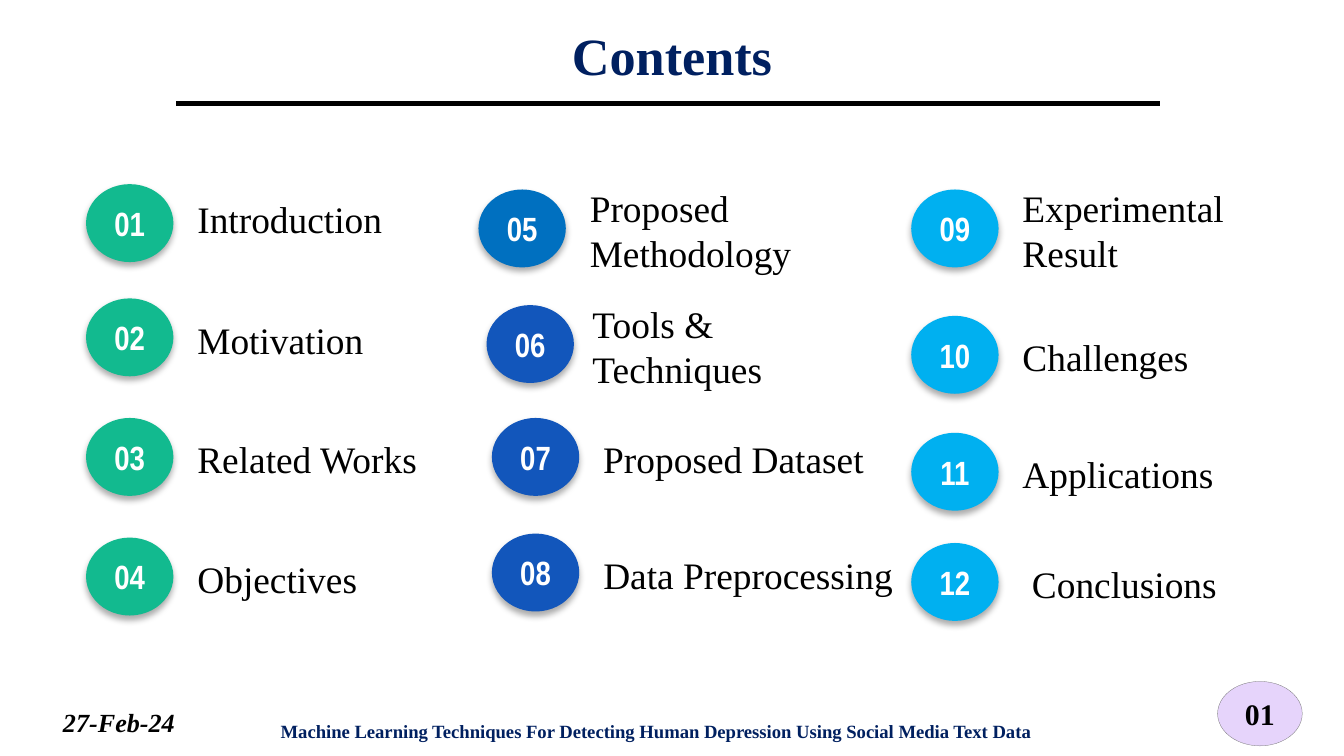
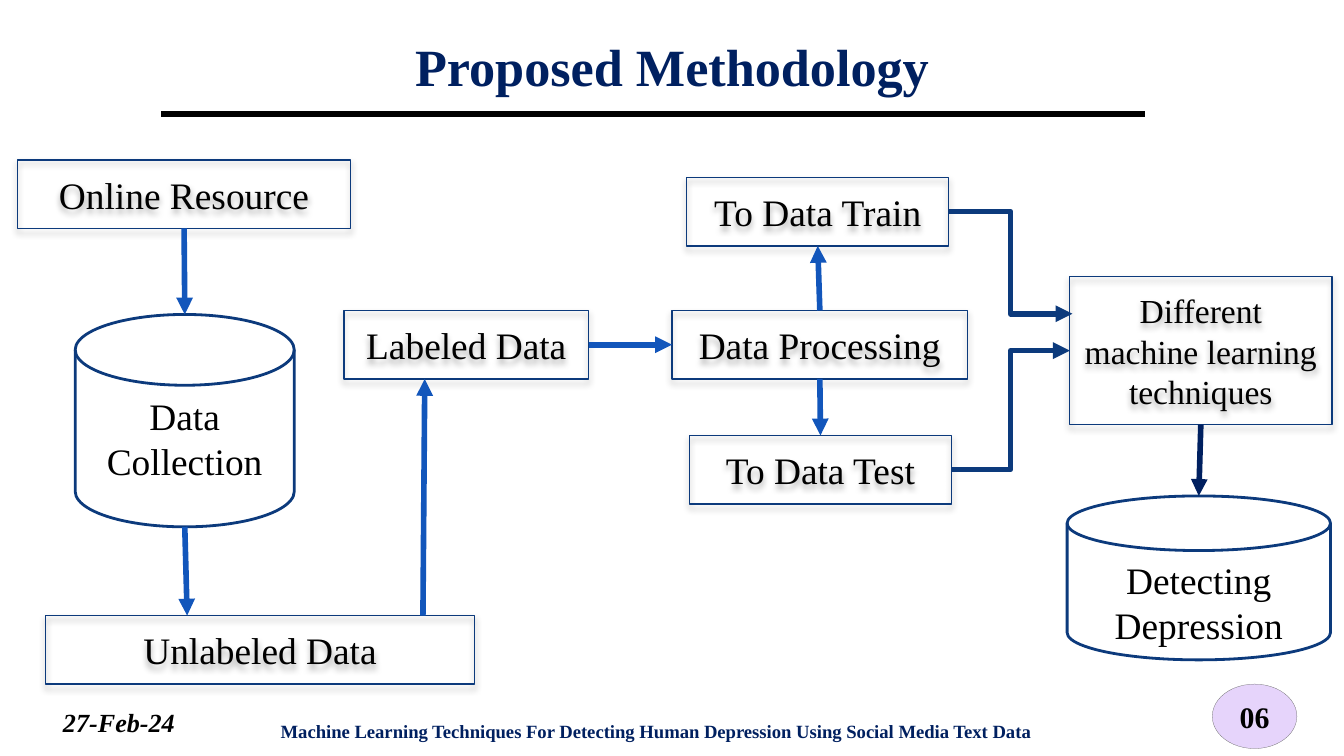
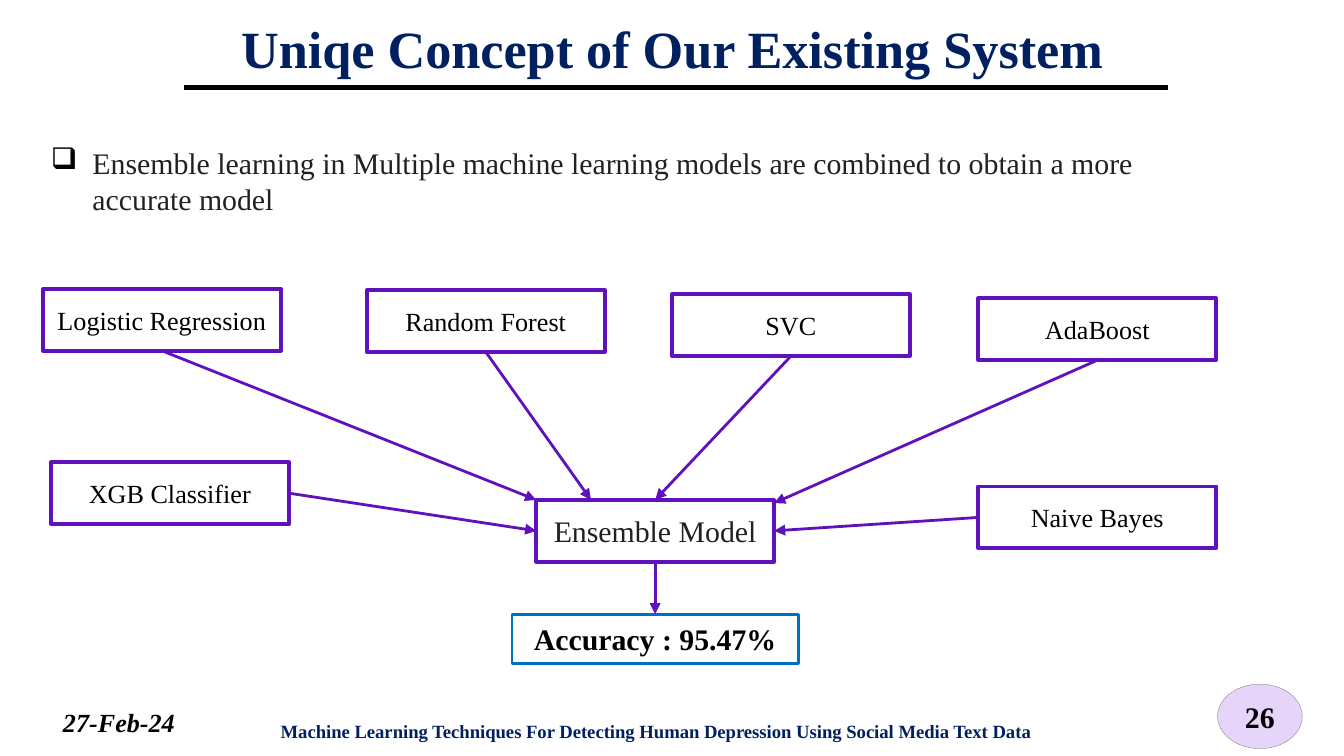
from dataclasses import dataclass

from lxml.etree import SubElement
from pptx import Presentation
from pptx.dml.color import RGBColor
from pptx.enum.shapes import MSO_CONNECTOR, MSO_SHAPE
from pptx.enum.text import MSO_ANCHOR, MSO_AUTO_SIZE, PP_ALIGN
from pptx.oxml.ns import qn
from pptx.util import Inches, Pt


@dataclass(frozen=True)
class Theme:
    """Colours, fonts and type sizes shared by the slides."""

    serif: str = "Times New Roman"
    narrow: str = "Arial Narrow"
    navy: str = "002060"
    black: str = "000000"
    white: str = "FFFFFF"
    ink: str = "202124"
    green: str = "12BA8F"
    sky: str = "00B0F0"
    azure: str = "0070C0"
    blue: str = "1256BB"
    outline: str = "0C3A7C"
    purple: str = "5F12BB"
    lilac: str = "E6D4FB"
    grey: str = "6C6C6C"
    title_size: int = 28
    topic_size: int = 20
    number_size: int = 18
    body_size: int = 16
    model_size: int = 14
    footer_size: int = 10


THEME = Theme()


@dataclass(frozen=True)
class Box:
    """A region in inches."""

    left: float
    top: float
    width: float
    height: float

    def inside(self, left, top, width, height):
        """Return a box placed relative to this one."""
        return Box(self.left + left, self.top + top, width, height)

    def lengths(self):
        """Return left, top, width and height as lengths."""
        return [Inches(v) for v in (self.left, self.top, self.width, self.height)]


@dataclass(frozen=True)
class Topic:
    """One numbered entry of the contents."""

    title: str
    left: float
    top: float
    colour: str
    gap: float = 0.73
    rise: float = 0.03
    width: float = 2.17


TOPICS = [
    Topic("Introduction", 0, 0, THEME.green, rise=0.08),
    Topic("Motivation", 0, 0.85, THEME.green),
    Topic("Related Works", 0, 1.74, THEME.green),
    Topic("Objectives", 0, 2.63, THEME.green),
    Topic("Proposed Methodology", 2.92, 0.04, THEME.azure),
    Topic("Tools & Techniques", 2.98, 0.9, THEME.blue, gap=0.69, width=2.42),
    Topic("Proposed Dataset", 3.02, 1.74, THEME.blue),
    Topic("Data Preprocessing", 3.02, 2.6, THEME.blue, width=2.42),
    Topic("Experimental Result", 6.14, 0.04, THEME.sky),
    Topic("Challenges", 6.14, 0.98, THEME.sky),
    Topic("Applications", 6.14, 1.85, THEME.sky),
    Topic("Conclusions", 6.14, 2.67, THEME.sky, gap=0.8),
]


def apply(target, values):
    """Set each named attribute on the target."""
    for name, value in values.items():
        setattr(target, name, value)


def write(frame, text, size, colour=THEME.black, align=PP_ALIGN.CENTER,
          inset=None, font=None, frame_format=None):
    """Fill a text frame, one paragraph per line of text."""
    settings = {"word_wrap": True, "vertical_anchor": MSO_ANCHOR.MIDDLE}
    if inset is not None:
        sides = ("left", "top", "right", "bottom")
        settings |= {f"margin_{side}": Inches(inset) for side in sides}
    apply(frame, settings | (frame_format or {}))
    frame.text = text
    for paragraph in frame.paragraphs:
        paragraph.alignment = align
        for run in paragraph.runs:
            apply(run.font, {"name": THEME.serif, "size": Pt(size)} | (font or {}))
            run.font.color.rgb = RGBColor.from_string(colour)


def add_shadow(shape):
    """Give a shape a soft shadow falling straight down."""
    effects = shape._element.spPr.find(qn("a:effectLst"))
    shadow = SubElement(effects, qn("a:outerShdw"), blurRad=str(Pt(3.5)),
                        dist=str(Pt(2.2)), dir="5400000", rotWithShape="0")
    colour = SubElement(shadow, qn("a:srgbClr"), val=THEME.black)
    SubElement(colour, qn("a:alpha"), val="32000")


def add_figure(shapes, kind, box, fill=None, line=None, weight=1.0, shadow=False):
    """Add a preset shape with the given fill, outline and shadow."""
    figure = shapes.add_shape(kind, *box.lengths())
    figure.shadow.inherit = False
    if shadow:
        add_shadow(figure)
    for paint, colour in ((figure.fill, fill), (figure.line.fill, line)):
        if colour:
            paint.solid()
            paint.fore_color.rgb = RGBColor.from_string(colour)
        else:
            paint.background()
    if line:
        figure.line.width = Pt(weight)
    return figure


def add_caption(shapes, box, text, size, **style):
    """Add left-aligned text in a box of its own."""
    caption = shapes.add_textbox(*box.lengths())
    write(caption.text_frame, text, size, align=PP_ALIGN.LEFT, **style)
    return caption


def add_line(slide, start, end, colour, weight, kind=MSO_CONNECTOR.STRAIGHT, arrow=True):
    """Join two points, with an arrowhead at the end if asked."""
    line = slide.shapes.add_connector(kind, *start, *end)
    line.line.color.rgb = RGBColor.from_string(colour)
    line.line.width = Pt(weight)
    if arrow:
        SubElement(line.line._get_or_add_ln(), qn("a:tailEnd"), type="triangle")
    SubElement(line._element.spPr, qn("a:effectLst"))


def anchor(shape, across, down):
    """Return the point at the given fractions of a shape's size."""
    return (shape.left + int(shape.width * across),
            shape.top + int(shape.height * down))


def add_heading(slide, title, box, rule_start):
    """Place the title and the rule below it."""
    heading = slide.shapes.title
    apply(heading, dict(zip(("left", "top", "width", "height"), box.lengths())))
    write(heading.text_frame, title, THEME.title_size, THEME.navy, inset=0.1,
          font={"bold": True}, frame_format={"auto_size": MSO_AUTO_SIZE.NONE})
    left, top = rule_start
    add_line(slide, (Inches(left), Inches(top)), (Inches(left + 7.32), Inches(top)),
             THEME.black, 3, arrow=False)


def add_footer(slide, box, number, badge_at):
    """Place the date, the running title and the page badge."""
    fit = {"auto_size": MSO_AUTO_SIZE.SHAPE_TO_FIT_TEXT, "vertical_anchor": MSO_ANCHOR.TOP}
    add_caption(slide.shapes, box.inside(0, 0.14, 1.28, 0.34), "27-Feb-24", THEME.model_size,
                font={"bold": True, "italic": True}, frame_format=fit)
    add_caption(slide.shapes, box.inside(1.62, 0.24, 6.69, 0.27),
                "Machine Learning Techniques For Detecting Human Depression "
                "Using Social Media Text Data",
                THEME.footer_size, colour=THEME.navy, font={"bold": True}, frame_format=fit)
    badge = add_figure(slide.shapes, MSO_SHAPE.OVAL, box.inside(*badge_at, 0.63, 0.48),
                       THEME.lilac, THEME.grey, 0.15)
    write(badge.text_frame, number, THEME.body_size, font={"bold": True})


def add_topic(slide, box, number, topic):
    """Place a numbered disc with its topic beside it."""
    entry = slide.shapes.add_group_shape().shapes
    disc = add_figure(entry, MSO_SHAPE.OVAL, box.inside(topic.left, topic.top, 0.65, 0.58),
                      topic.colour, shadow=True)
    write(disc.text_frame, f"{number:02}", THEME.number_size, THEME.white, inset=0.1,
          font={"name": THEME.narrow, "bold": True})
    label = box.inside(topic.left + topic.gap, topic.top - topic.rise, topic.width, 0.67)
    add_caption(entry, label, topic.title, THEME.topic_size, inset=0.1)


def build_contents(slide, box):
    """Lay out the numbered topics."""
    for number, topic in enumerate(TOPICS, 1):
        add_topic(slide, box, number, topic)


def build_methodology(slide, box):
    """Draw the flow from online resource to detection."""

    def step(text, *place, size=THEME.topic_size):
        """Add one rectangular step."""
        shape = add_figure(slide.shapes, MSO_SHAPE.RECTANGLE, box.inside(*place),
                           line=THEME.outline, weight=0.75, shadow=True)
        write(shape.text_frame, text, size)
        return shape

    def store(text, *place, **frame_format):
        """Add one cylinder."""
        shape = add_figure(slide.shapes, MSO_SHAPE.FLOWCHART_MAGNETIC_DISK,
                           box.inside(*place), line=THEME.outline, weight=1.5)
        write(shape.text_frame, text, THEME.topic_size, frame_format=frame_format)
        return shape

    resource = step("Online Resource", 0.13, 0.19, 2.48, 0.51)
    collection = store("Data\nCollection", 0.56, 1.34, 1.63, 1.58)
    unlabeled = step("Unlabeled Data", 0.34, 3.58, 3.19, 0.51)
    labeled = step("Labeled Data", 2.56, 1.31, 1.82, 0.51)
    processing = step("Data Processing", 5, 1.31, 2.2, 0.51)
    train = step("To Data Train", 5.11, 0.32, 1.95, 0.51)
    test = step("To Data Test", 5.13, 2.24, 1.95, 0.51)
    techniques = step("Different machine learning techniques", 7.96, 1.06, 1.95, 1.1,
                      size=THEME.number_size)
    detection = store("Detecting Depression", 7.94, 2.69, 1.96, 1.22,
                      vertical_anchor=MSO_ANCHOR.TOP)

    top, bottom, left, right = (0.5, 0), (0.5, 1), (0, 0.5), (1, 0.5)
    straight, elbow = MSO_CONNECTOR.STRAIGHT, MSO_CONNECTOR.ELBOW
    flows = [
        (resource, bottom, collection, top, THEME.blue, straight),
        (collection, bottom, unlabeled, (0.33, 0), THEME.blue, straight),
        (unlabeled, (0.88, 0), labeled, (0.33, 1), THEME.blue, straight),
        (labeled, right, processing, left, THEME.blue, straight),
        (processing, top, train, bottom, THEME.blue, straight),
        (processing, bottom, test, top, THEME.blue, straight),
        (train, right, techniques, (0.01, 0.25), THEME.outline, elbow),
        (test, right, techniques, left, THEME.outline, elbow),
        (techniques, bottom, detection, top, THEME.navy, straight),
    ]
    for source, leaving, target, entering, colour, kind in flows:
        add_line(slide, anchor(source, *leaving), anchor(target, *entering), colour, 3, kind)


def add_statement(slide, box, text):
    """Place the bulleted statement."""
    statement = add_caption(slide.shapes, box, text, THEME.body_size, colour=THEME.ink,
                            frame_format={"vertical_anchor": MSO_ANCHOR.TOP})
    properties = statement.text_frame.paragraphs[0]._p.get_or_add_pPr()
    properties.set("marL", str(Inches(0.31)))
    properties.set("indent", str(Inches(-0.31)))
    SubElement(SubElement(properties, qn("a:buClr")), qn("a:srgbClr"), val=THEME.black)
    SubElement(properties, qn("a:buChar"), char="❑")


def build_ensemble(slide, box):
    """Draw the models feeding the ensemble and its accuracy."""
    add_statement(slide, box.inside(0.28, 0.03, 8.48, 0.64),
                  "Ensemble learning in Multiple machine learning models are combined "
                  "to obtain a more accurate model")

    def model(text, left, top, size=THEME.model_size, colour=THEME.black):
        """Add one model frame."""
        shape = add_figure(slide.shapes, MSO_SHAPE.RECTANGLE,
                           box.inside(left, top, 1.77, 0.46), THEME.white, THEME.purple, 2)
        write(shape.text_frame, text, size, colour)
        return shape

    ensemble = model("Ensemble Model", 3.99, 2.72, THEME.body_size, THEME.ink)
    accuracy = add_figure(slide.shapes, MSO_SHAPE.RECTANGLE,
                          box.inside(3.81, 3.57, 2.13, 0.37), line=THEME.azure, weight=1.5)
    write(accuracy.text_frame, "Accuracy : 95.47%", THEME.body_size, font={"bold": True})
    inputs = [
        ("Logistic Regression", 0.32, 1.15, (0.5, 1), (0, 0)),
        ("Random Forest", 2.73, 1.16, (0.5, 1), (0.23, 0)),
        ("SVC", 5, 1.19, (0.5, 1), (0.5, 0)),
        ("AdaBoost", 7.28, 1.22, (0.5, 1), (1, 0.05)),
        ("XGB Classifier", 0.38, 2.44, (1, 0.5), (0, 0.5)),
        ("Naive Bayes", 7.28, 2.62, (0, 0.5), (1, 0.5)),
    ]
    for text, left, top, leaving, entering in inputs:
        source = model(text, left, top)
        add_line(slide, anchor(source, *leaving), anchor(ensemble, *entering),
                 THEME.purple, 1.5)
    add_line(slide, anchor(ensemble, 0.5, 1), anchor(accuracy, 0.5, 0), THEME.purple, 1.5)


def main():
    """Build the slides and save the presentation."""
    deck = Presentation()
    deck.slide_width, deck.slide_height = Inches(10), Inches(5.625)
    title_only = deck.slide_layouts[5]
    diagram = Box(0, 1, 10, 4)
    footer = Box(0.37, 5.07, 9.32, 0.51)
    pages = [
        ("Contents", Box(0.5, 0.2, 9, 0.41), (1.31, 0.77), "01", (8.69, 0),
         build_contents, Box(0.64, 1.37, 9.05, 3.3)),
        ("Proposed Methodology", Box(0.5, 0.23, 9, 0.51), (1.2, 0.85), "06", (8.65, 0.02),
         build_methodology, diagram),
        ("Uniqe Concept of Our Existing System", Box(0.5, 0.15, 9, 0.41), (1.37, 0.65),
         "26", (8.69, 0.02), build_ensemble, diagram),
    ]
    for title, title_box, rule_start, number, badge_at, build, body in pages:
        slide = deck.slides.add_slide(title_only)
        add_heading(slide, title, title_box, rule_start)
        build(slide, body)
        add_footer(slide, footer, number, badge_at)
    deck.save("out.pptx")


if __name__ == "__main__":
    main()
